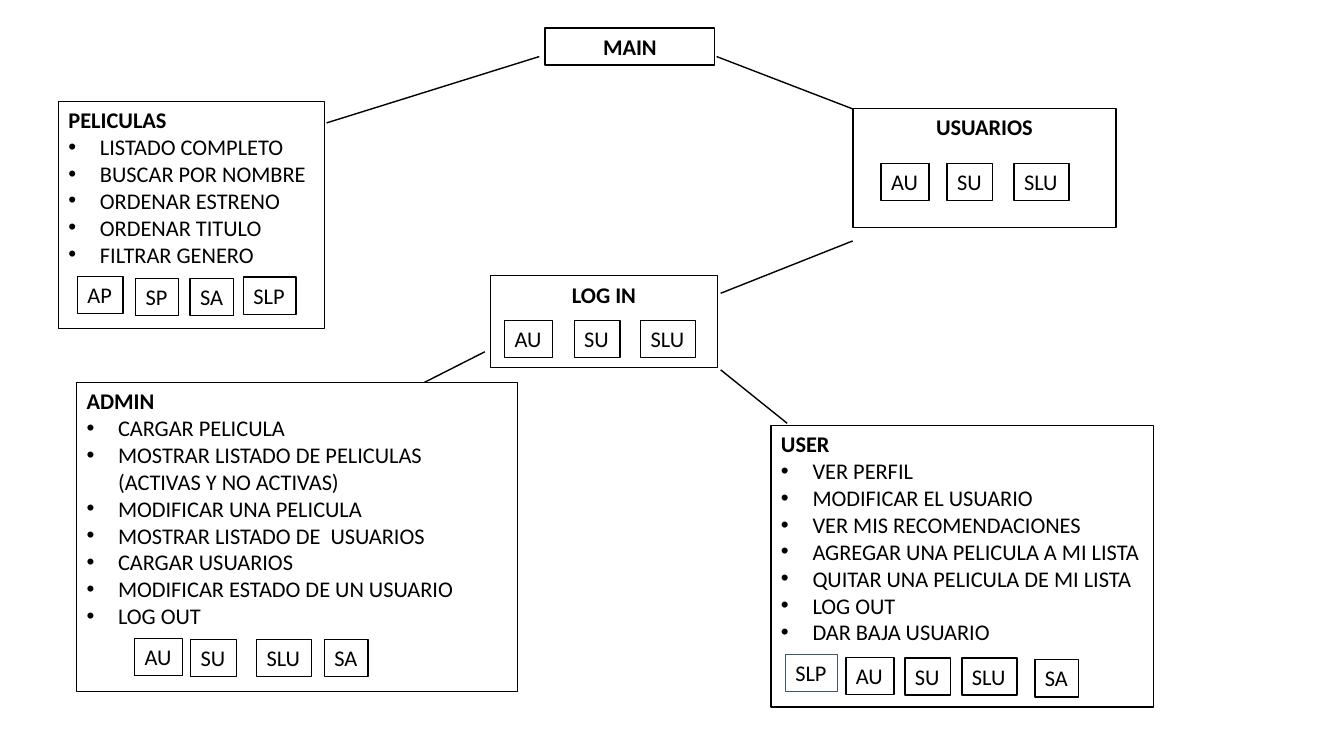
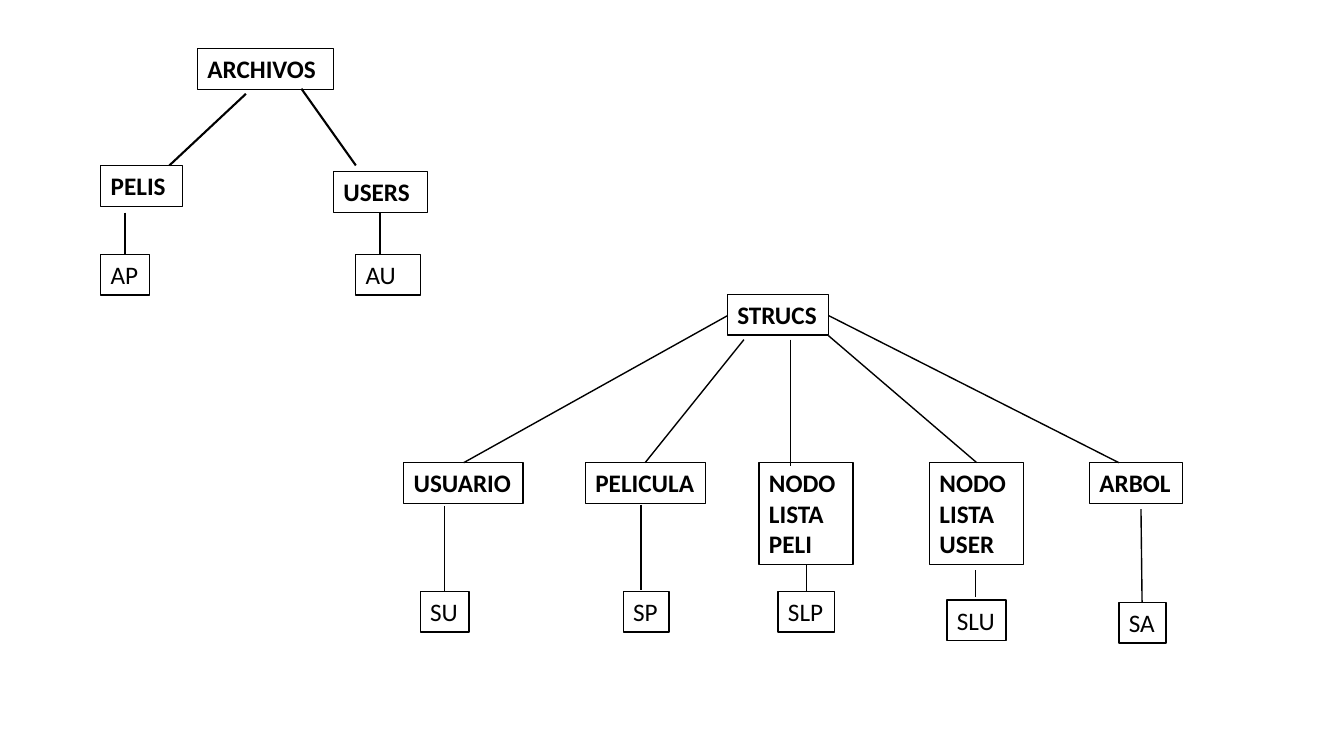
from lxml import etree
from pptx import Presentation
from pptx.dml.color import RGBColor
from pptx.enum.shapes import MSO_CONNECTOR, MSO_SHAPE
from pptx.enum.text import MSO_ANCHOR, PP_ALIGN
from pptx.oxml.ns import qn
from pptx.util import Pt

RECTANGLE = MSO_SHAPE.RECTANGLE
STRAIGHT = MSO_CONNECTOR.STRAIGHT
TOP, MIDDLE = MSO_ANCHOR.TOP, MSO_ANCHOR.MIDDLE
LEFT, CENTER = PP_ALIGN.LEFT, PP_ALIGN.CENTER

BLACK, WHITE, SLATE = "000000", "FFFFFF", "44546A"
BULLET_INDENT = Pt(22.5)
FRAME_FORMAT = {
    "word_wrap": True,
    "margin_left": Pt(7.2),
    "margin_right": Pt(7.2),
    "margin_top": Pt(3.6),
    "margin_bottom": Pt(3.6),
}

# Chip widths on the menu slide, by code
CHIP_WIDTHS = {"AU": 34.3, "SU": 32.6, "SLU": 39.2, "AP": 32.6,
               "SP": 30.6, "SA": 31.2, "SLP": 37.6}
CHIP_HEIGHT = 26.6

# Title, bounds, alignment, bullets, chips as (code, left, top)
PANELS = [
    ("MAIN", (389.4, 19.9, 121, 26.6), CENTER, [], []),
    ("USUARIOS", (609.2, 77.4, 188, 85), CENTER, [],
     [("AU", 629.4, 116.8), ("SU", 676.6, 116.8), ("SLU", 724.4, 116.8)]),
    ("LOG IN", (350.2, 197, 162.4, 65.6), CENTER, [],
     [("AU", 360.6, 229), ("SU", 410.2, 229), ("SLU", 457.7, 229)]),
    ("PELICULAS", (41.8, 72.4, 190, 162.4), LEFT,
     ["LISTADO COMPLETO", "BUSCAR POR NOMBRE", "ORDENAR ESTRENO",
      "ORDENAR TITULO", "FILTRAR GENERO"],
     [("AP", 55.4, 197.5), ("SP", 97, 199), ("SA", 135.8, 199),
      ("SLP", 174, 198)]),
    ("ADMIN", (54.7, 273.2, 315, 220.6), LEFT,
     ["CARGAR PELICULA",
      "MOSTRAR LISTADO DE PELICULAS (ACTIVAS Y NO ACTIVAS)",
      "MODIFICAR UNA PELICULA", "MOSTRAR LISTADO DE  USUARIOS",
      "CARGAR USUARIOS", "MODIFICAR ESTADO DE UN USUARIO", "LOG OUT"],
     [("AU", 96.3, 456), ("SU", 136.2, 456.6), ("SLU", 183.3, 456.6),
      ("SA", 231.8, 456.6)]),
    ("USER", (550.8, 303.9, 273.2, 201), LEFT,
     ["VER PERFIL", "MODIFICAR EL USUARIO", "VER MIS RECOMENDACIONES",
      "AGREGAR UNA PELICULA A MI LISTA", "QUITAR UNA PELICULA DE MI LISTA",
      "LOG OUT", "DAR BAJA USUARIO"],
     [("AU", 604.2, 469.6), ("SU", 646.4, 470), ("SLU", 687.2, 470),
      ("SA", 739.2, 471.2)]),
]
MENU_LINES = [
    (385.2, 40.4, 233.3, 87.8), (511.9, 40.4, 609.1, 77.8),
    (514.8, 209.5, 609.1, 172.1), (283.7, 283, 346.3, 251.3),
    (562.3, 302.4, 514.8, 264.2),
]

# Text, left, top, width
NODE_HEIGHT, NODE_LINE = 29.1, 21.8
BRANCH_TOP = 330.5
HEADINGS = [
    (["ARCHIVOS"], 141, 34.8, 97.2),
    (["PELIS"], 72, 118.2, 58.6),
    (["USERS"], 238.2, 122.6, 67),
    (["STRUCS"], 519.6, 210.3, 72.4),
    (["USUARIO"], 288.4, BRANCH_TOP, 85.2),
    (["PELICULA"], 418.2, BRANCH_TOP, 86),
    (["NODO", "LISTA", "PELI"], 542.2, BRANCH_TOP, 67),
    (["NODO", "LISTA", "USER"], 664, BRANCH_TOP, 67),
    (["ARBOL"], 778.2, BRANCH_TOP, 66.4),
]
LEAVES = [
    (["AP"], 72, 181.6, 34.8), (["AU"], 254, 181.6, 46.4),
    (["SU"], 300.2, 422.4, 34.8), (["SP"], 445.2, 422.4, 32.8),
    (["SLP"], 555.8, 422.4, 40.2), (["SLU"], 676.5, 428.6, 42),
    (["SA"], 799.2, 430.3, 33.6),
]
FILE_LINES = [
    (175.7, 67, 121, 118.2), (215.3, 63.4, 254.2, 118.2),
    (89.3, 151.9, 89.3, 181.4), (271.4, 151.9, 271.4, 181.4),
]
STRUCT_LINES = [
    (519.8, 225.4, 331.2, 330.5), (531.4, 242.6, 460.8, 330.5),
    (564.5, 242.6, 564.5, 332.6), (591.8, 239.8, 697.7, 330.5),
    (591.8, 225.4, 799.2, 330.5), (317.5, 361.4, 317.5, 422.6),
    (457.9, 360.7, 457.9, 421.2), (576, 403.2, 576, 422.6),
    (697, 407.5, 697, 426.2), (815, 363.6, 815.8, 430.6),
]


def color(value):
    return RGBColor.from_string(value)


class Diagram:
    """Holds the presentation, its shared style and the current slide."""

    def __init__(self):
        self.presentation = Presentation()
        self.presentation.slide_width = Pt(960)
        self.presentation.slide_height = Pt(540)
        self.slide = None
        self.font = {"name": "Calibri", "size": Pt(16)}

    def new_slide(self, text_size):
        self.font["size"] = Pt(text_size)
        layout = self.presentation.slide_layouts[6]
        self.slide = self.presentation.slides.add_slide(layout)

    def line(self, points, width=1):
        connector = self.slide.shapes.add_connector(
            STRAIGHT, *[Pt(value) for value in points])
        connector.line.width = Pt(width)
        connector.line.color.rgb = color(BLACK)
        etree.SubElement(connector.element.spPr, qn("a:effectLst"))

    def box(self, bounds, texts, bold=False, align=LEFT, bullets=(),
            outline=BLACK, outline_width=1, anchor=TOP):
        shape = self.slide.shapes.add_shape(
            RECTANGLE, *[Pt(value) for value in bounds])
        shape.shadow.inherit = False
        shape.fill.solid()
        shape.fill.fore_color.rgb = color(WHITE)
        shape.line.color.rgb = color(outline)
        shape.line.width = Pt(outline_width)
        frame = shape.text_frame
        for name, value in FRAME_FORMAT.items():
            setattr(frame, name, value)
        frame.vertical_anchor = anchor
        for index, text in enumerate([*texts, *bullets]):
            paragraph = frame.add_paragraph() if index else frame.paragraphs[0]
            is_bullet = index >= len(texts)
            self.set_text(paragraph, text, bold and not is_bullet, align)
            if is_bullet:
                self.add_bullet(paragraph)

    def set_text(self, paragraph, text, bold, align):
        paragraph.alignment = align
        run = paragraph.add_run()
        run.text = text
        for name, value in {**self.font, "bold": bold}.items():
            setattr(run.font, name, value)
        run.font.color.rgb = color(BLACK)

    def add_bullet(self, paragraph):
        properties = paragraph._p.get_or_add_pPr()
        properties.set("marL", str(BULLET_INDENT))
        properties.set("indent", str(-BULLET_INDENT))
        bullet_color = etree.SubElement(properties, qn("a:buClr"))
        etree.SubElement(bullet_color, qn("a:srgbClr"), val=BLACK)
        etree.SubElement(properties, qn("a:buFont"), typeface="Arial")
        etree.SubElement(properties, qn("a:buChar"), char="•")

    def chip(self, code, left, top, **style):
        self.box((left, top, CHIP_WIDTHS[code], CHIP_HEIGHT), [code], **style)

    def node(self, texts, left, top, width, bold=False):
        height = NODE_HEIGHT + NODE_LINE * (len(texts) - 1)
        self.box((left, top, width, height), texts, bold=bold)


def build_menu_slide(diagram):
    diagram.new_slide(text_size=16)
    for points in MENU_LINES:
        diagram.line(points)
    for title, bounds, align, bullets, chips in PANELS:
        diagram.box(bounds, [title], bold=True, align=align, bullets=bullets)
        for chip in chips:
            diagram.chip(*chip)
    diagram.chip("SLP", 561, 467.4, outline=SLATE, outline_width=0.75,
                 anchor=MIDDLE)


def build_structure_slide(diagram):
    diagram.new_slide(text_size=18)
    for heading in HEADINGS:
        diagram.node(*heading, bold=True)
    for leaf in LEAVES:
        diagram.node(*leaf)
    for points in FILE_LINES:
        diagram.line(points, width=1.5)
    for points in STRUCT_LINES:
        diagram.line(points)


def main():
    diagram = Diagram()
    build_menu_slide(diagram)
    build_structure_slide(diagram)
    diagram.presentation.save("out.pptx")


if __name__ == "__main__":
    main()
